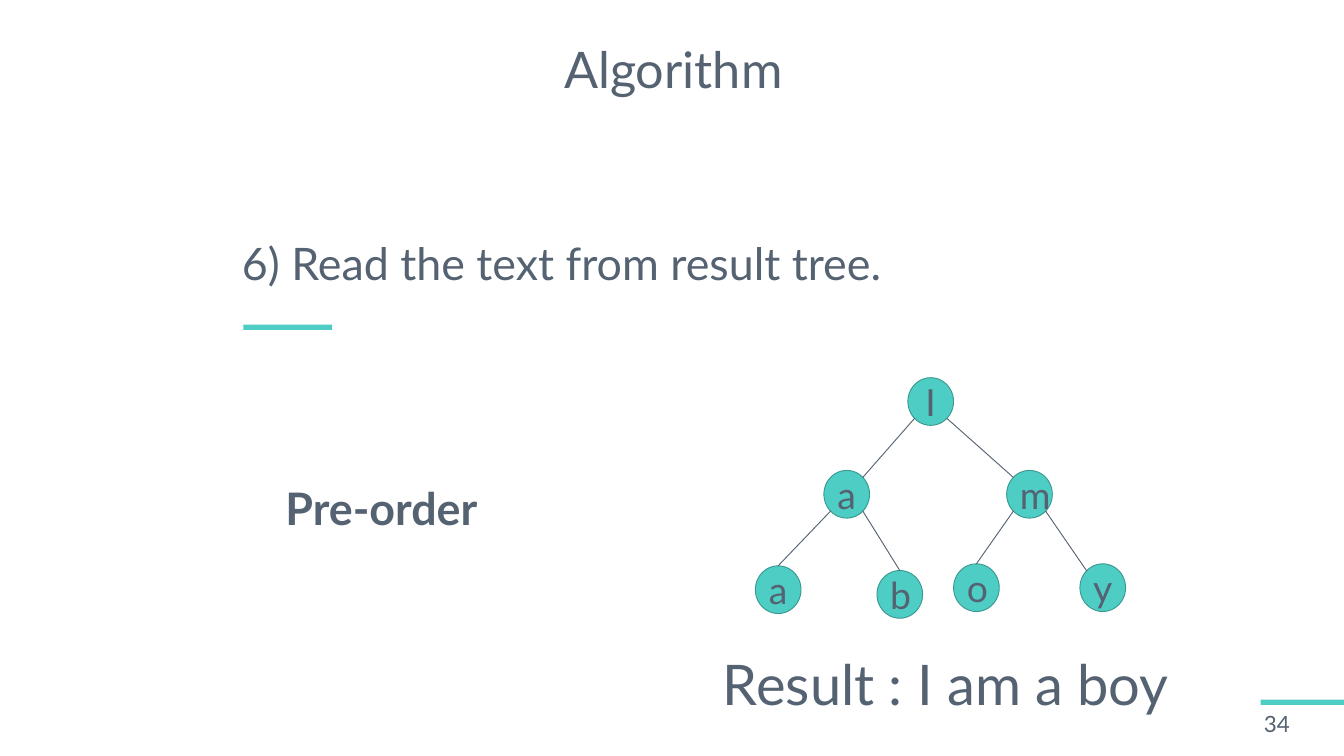
"""Builds the slide that reads a text from its tree."""
from pptx import Presentation
from pptx.dml.color import RGBColor as Rgb
from pptx.enum.shapes import MSO_CONNECTOR as Link, MSO_SHAPE as Kind
from pptx.enum.text import MSO_ANCHOR as Anchor, MSO_AUTO_SIZE as Fit, PP_ALIGN as Align
from pptx.oxml.ns import qn
from pptx.util import Pt
from lxml.etree import SubElement as Sub

PX = 9144
HUE = {"ink": "556272", "teal": "4ECDC4", "rim": "3A9891"}
SITE = {"top": (0.5, 0), "tl": (0.15, 0.15), "tr": (0.85, 0.15),
        "bl": (0.15, 0.85), "br": (0.85, 0.85)}
NODE = (68, 71)
NODES = {"root": ("I", 227, 0), "left": ("a", 102, 138), "right": ("m", 374, 138),
         "ll": ("a", 0, 280), "lr": ("b", 181, 287),
         "rl": ("o", 295, 277), "rr": ("y", 483, 277)}
EDGES = [("left", "bl", "ll", "top"), ("left", "br", "lr", "top"),
         ("root", "bl", "left", "tr"), ("root", "br", "right", "tl"),
         ("right", "bl", "rl", "top"), ("right", "br", "rr", "tl")]


def emu(*nums):
    """Turn px into EMU."""
    return [round(n * PX) for n in nums]


def tint(name):
    """Give the named colour."""
    return Rgb.from_string(HUE[name])


def place(item, box):
    """Move an item to its box."""
    item.left, item.top, item.width, item.height = emu(*box)


def write(item, text, size, align=Align.LEFT, anchor=Anchor.MIDDLE, bold=False):
    """Write one line of text into an item."""
    frame = item.text_frame
    frame.word_wrap = True
    frame.auto_size = Fit.NONE
    frame.vertical_anchor = anchor
    para = frame.paragraphs[0]
    para.alignment = align
    run = para.add_run()
    run.text = text
    font = run.font
    font.name, font.size, font.bold = "Lato", Pt(size), bold
    font.color.rgb = tint("ink")
    return para


def label(slide, box, text, size, **style):
    """Add a text box."""
    write(slide.shapes.add_textbox(*emu(*box)), text, size, **style)


def bar(slide, box):
    """Add a teal accent bar."""
    rect = slide.shapes.add_shape(Kind.RECTANGLE, *emu(*box))
    rect.shadow.inherit = False
    rect.fill.solid()
    rect.fill.fore_color.rgb = tint("teal")
    rect.line.fill.background()


def title(slide, box):
    """Fill the title."""
    head = slide.shapes.title
    place(head, box)
    write(head, "Algorithm", 54, Align.CENTER).line_spacing = 0.9


def step(slide, box):
    """Fill the body with the step and underline it."""
    body = slide.placeholders[1]
    place(body, box)
    para = write(body, "6) Read the text from result tree.", 48)
    para.space_before = Pt(0)
    props = para._p.get_or_add_pPr()
    props.set("marL", "0")
    props.set("indent", "0")
    Sub(props, qn("a:buNone"))
    x, y, _, h = box
    bar(slide, (x + 12, y + h + 24, 132, 8))


def node(group, box, text):
    """Add a tree node."""
    disc = group.shapes.add_shape(Kind.OVAL, *emu(*box))
    disc.shadow.inherit = False
    disc.fill.solid()
    disc.fill.fore_color.rgb = tint("teal")
    disc.line.color.rgb = tint("rim")
    disc.line.width = Pt(1)
    write(disc, text, 40, Align.CENTER)


def tree(slide, x, y):
    """Draw the tree with its nodes and edges."""
    group = slide.shapes.add_group_shape()
    for text, dx, dy in NODES.values():
        node(group, (x + dx, y + dy, *NODE), text)

    def point(name, site):
        """Find a site on the rim of a node."""
        _, dx, dy = NODES[name]
        fx, fy = SITE[site]
        return x + dx + fx * NODE[0], y + dy + fy * NODE[1]

    for start, out, end, into in EDGES:
        ends = emu(*point(start, out), *point(end, into))
        edge = group.shapes.add_connector(Link.STRAIGHT, *ends)
        edge.line.color.rgb = tint("ink")
        edge.line.width = Pt(1)
        Sub(edge._element.spPr, qn("a:effectLst"))


def footer(slide, box):
    """Add the page number below its bar."""
    x, y, w, h = box
    bar(slide, (x + 5, y, w - 5, 8))
    label(slide, (x, y + 9, w, h - 9), "34", 24)


def main():
    """Build and save the deck."""
    deck = Presentation()
    deck.slide_width, deck.slide_height = emu(2000, 1125)
    slide = deck.slides.add_slide(deck.slide_layouts[1])
    title(slide, (54, 38, 1896, 140))
    step(slide, (350, 322, 1514, 137))
    label(slide, (415, 711, 390, 91), "Pre-order", 48, anchor=Anchor.TOP, bold=True)
    tree(slide, 1124, 562)
    label(slide, (1066, 961, 707, 111), "Result : I am a boy", 60, anchor=Anchor.TOP)
    footer(slide, (1871, 1041, 129, 62))
    deck.save("out.pptx")


if __name__ == "__main__":
    main()
